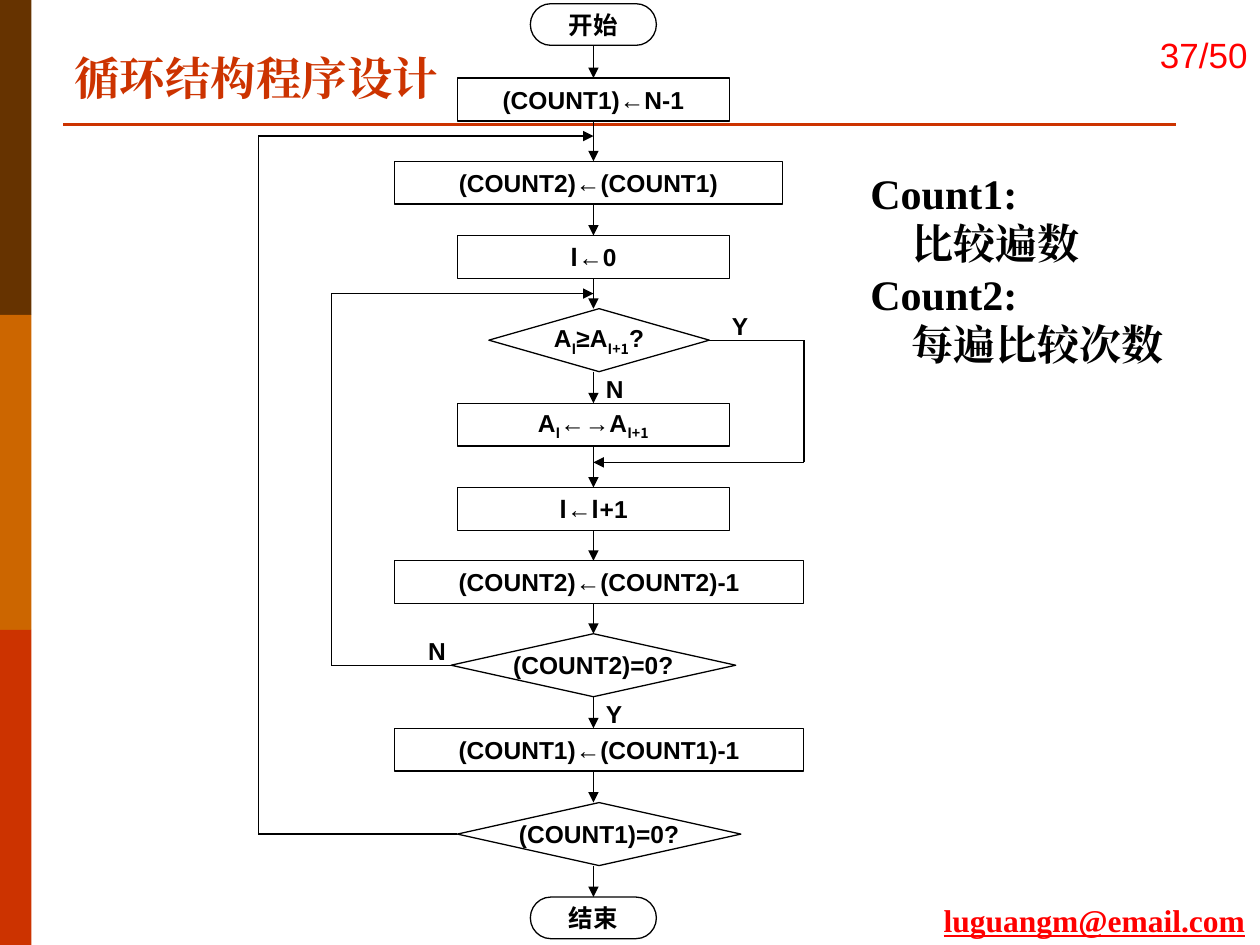
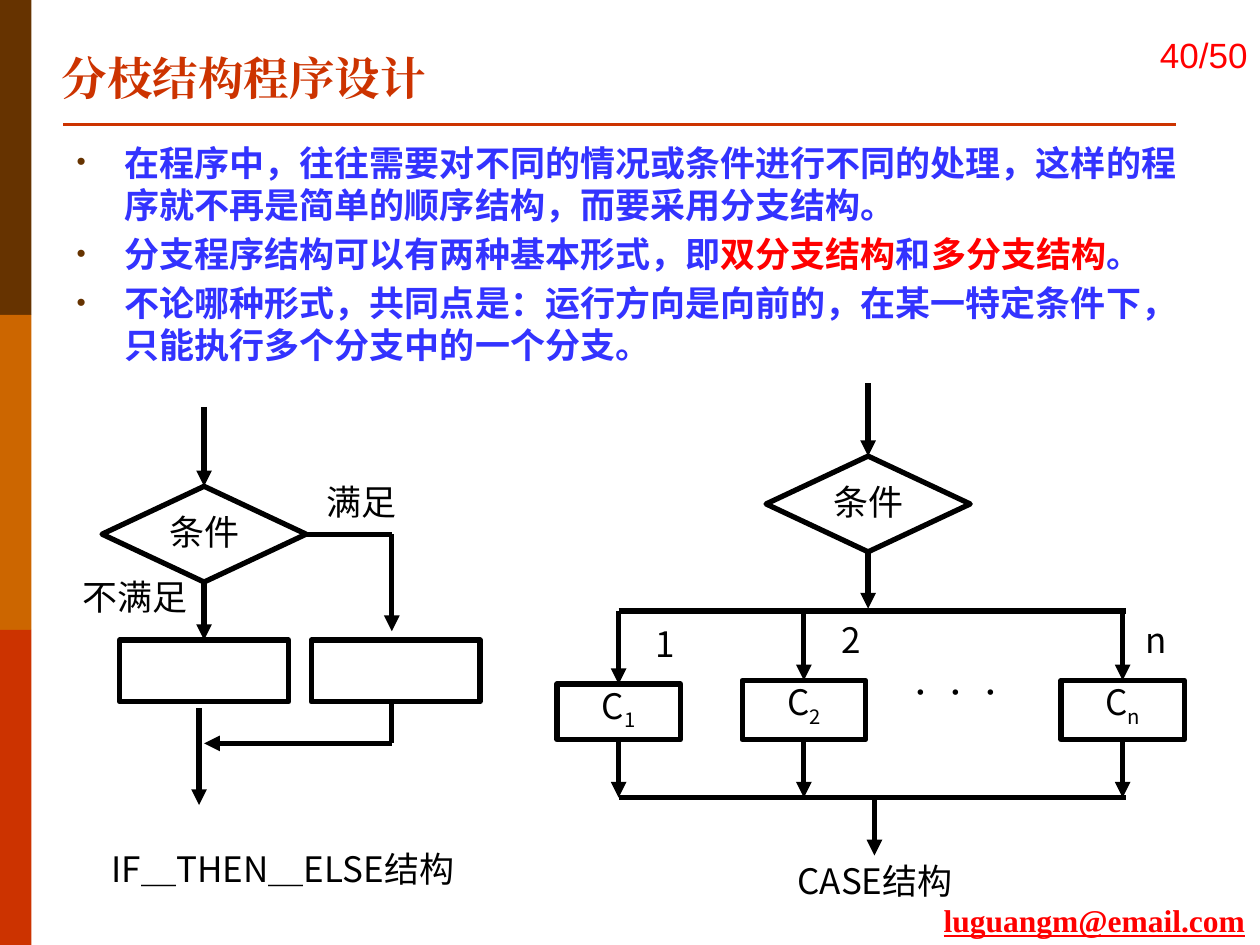
from itertools import pairwise

from lxml.etree import SubElement
from pptx import Presentation
from pptx.dml.color import RGBColor
from pptx.enum.shapes import MSO_CONNECTOR, MSO_SHAPE
from pptx.enum.text import MSO_ANCHOR, PP_ALIGN
from pptx.oxml.ns import qn
from pptx.util import Inches, Pt

BROWN, ORANGE, RUST = "663300", "CC6600", "CC3300"
RED, BLUE, BLACK = "FF0000", "3333FF", "000000"
SANS, SERIF, CJK = "Arial", "Times New Roman", "Noto Sans CJK SC"

TITLE = {"name": SERIF, "size": Pt(26), "bold": True, "color": RUST}
PAGE_NUMBER = {"name": SANS, "size": Pt(20), "color": RED}
EMAIL = {"name": SERIF, "size": Pt(18), "bold": True, "underline": True, "color": RED}
FLOW = {"name": SANS, "size": Pt(14), "bold": True, "color": BLACK}
NOTE = {"name": SERIF, "size": Pt(24), "bold": True, "color": BLACK}
BODY = {"name": CJK, "size": Pt(20), "bold": True, "color": BLUE}
BRANCH = {"name": CJK, "size": Pt(20), "color": BLACK}

INDEX = {"name": CJK}
SUB = {"name": CJK, "baseline": "-25000"}
HOT = {"color": RED}

DEFAULT_INSETS = (0.1, 0.05)
TIGHT_INSETS = (0.02, 0)
TOP, LEFT, BOTTOM, RIGHT = range(4)
SPINE = 4.71
THIN, THICK = 0.75, 3


def rgb(value):
    return RGBColor.from_string(value)


def add_run(paragraph, text, style):
    fmt = dict(style)
    color, baseline = fmt.pop("color"), fmt.pop("baseline", None)
    run = paragraph.add_run()
    run.text = text
    for attribute, value in fmt.items():
        setattr(run.font, attribute, value)
    run.font.color.rgb = rgb(color)
    properties = run._r.get_or_add_rPr()
    SubElement(properties, qn("a:ea")).set("typeface", fmt["name"])
    if baseline:
        properties.set("baseline", baseline)


def fill_paragraph(paragraph, runs, style, align=PP_ALIGN.LEFT):
    """Write a plain string or a list of strings and (text, overrides) pairs."""
    paragraph.alignment = align
    for run in [runs] if isinstance(runs, str) else runs:
        text, changes = (run, {}) if isinstance(run, str) else run
        add_run(paragraph, text, {**style, **changes})


def set_frame(frame, insets, anchor, wrap):
    side, top = map(Inches, insets)
    layout = {"margin_left": side, "margin_right": side, "margin_top": top,
              "margin_bottom": top, "vertical_anchor": anchor, "word_wrap": wrap}
    for attribute, value in layout.items():
        setattr(frame, attribute, value)


def add_label(slide, box, paragraphs, style, align=PP_ALIGN.LEFT,
              insets=DEFAULT_INSETS, anchor=MSO_ANCHOR.TOP, wrap=True):
    frame = slide.shapes.add_textbox(*map(Inches, box)).text_frame
    set_frame(frame, insets, anchor, wrap)
    for number, runs in enumerate(paragraphs):
        paragraph = frame.add_paragraph() if number else frame.paragraphs[0]
        fill_paragraph(paragraph, runs, style, align)
    return frame


def add_node(slide, kind, box, runs, style, weight, insets=DEFAULT_INSETS,
             anchor=MSO_ANCHOR.MIDDLE, wrap=False):
    """Add an outlined flowchart symbol with centred text."""
    node = slide.shapes.add_shape(kind, *map(Inches, box))
    node.shadow.inherit = False
    node.fill.background()
    node.line.color.rgb = rgb(BLACK)
    node.line.width = Pt(weight)
    set_frame(node.text_frame, insets, anchor, wrap)
    if runs:
        fill_paragraph(node.text_frame.paragraphs[0], runs, style, PP_ALIGN.CENTER)
    return node


def is_point(end):
    return isinstance(end[0], (int, float))


def add_link(slide, start, end, weight, arrow=True, color=BLACK):
    """Draw a line; each end is a point or a (node, side) pair to join."""
    ends = [tuple(map(Inches, e)) if is_point(e) else (0, 0) for e in (start, end)]
    link = slide.shapes.add_connector(MSO_CONNECTOR.STRAIGHT, *ends[0], *ends[1])
    if not is_point(start):
        link.begin_connect(*start)
    if not is_point(end):
        link.end_connect(*end)
    link.line.color.rgb = rgb(color)
    link.line.width = Pt(weight)
    properties = link._element.spPr
    if arrow:
        SubElement(properties.find(qn("a:ln")), qn("a:tailEnd")).set("type", "triangle")
    SubElement(properties, qn("a:effectLst"))


def add_route(slide, stops, weight):
    """Draw a bent line through the stops, with an arrowhead at the last."""
    legs = list(pairwise(stops))
    for number, (start, end) in enumerate(legs, 1):
        add_link(slide, start, end, weight, arrow=number == len(legs))


def add_base_slide(deck, title, title_left, page):
    slide = deck.slides.add_slide(deck.slide_layouts[6])
    for number, color in enumerate((BROWN, ORANGE, RUST)):
        band = slide.shapes.add_shape(MSO_SHAPE.RECTANGLE, 0, Inches(2.5 * number),
                                      Inches(0.25), Inches(2.5))
        band.shadow.inherit = False
        band.fill.solid()
        band.fill.fore_color.rgb = rgb(color)
        band.line.fill.background()
    add_link(slide, (0.5, 0.99), (9.33, 0.99), 1.5, arrow=False, color=RUST)
    add_label(slide, (7.39, 7.1, 2.61, 0.4), ["luguangm@email.com"], EMAIL, wrap=False)
    add_label(slide, (8.78, 0.01, 1.22, 0.84), [page], PAGE_NUMBER,
              PP_ALIGN.RIGHT, anchor=MSO_ANCHOR.MIDDLE)
    add_label(slide, (title_left, 0.35, 6.99, 0.54), [title], TITLE)
    return slide


def spine_port(node, side):
    """Join at the node's side if its middle is on the spine, else give the point."""
    if abs(node.left + node.width // 2 - Inches(SPINE)) < Inches(0.01):
        return node, side
    edge = node.top + (node.height if side == BOTTOM else 0)
    return SPINE, edge / Inches(1)


def build_loop_slide(deck):
    slide = add_base_slide(deck, "循环结构程序设计", 0.49, "37/50")
    terminal, process, decision = (MSO_SHAPE.FLOWCHART_TERMINATOR, MSO_SHAPE.RECTANGLE,
                                   MSO_SHAPE.FLOWCHART_DECISION)
    heights = {terminal: 0.33, process: 0.34, decision: 0.5}
    steps = [
        (terminal, 4.21, 0.03, 1, "开始"),
        (process, 3.63, 0.62, 2.16, "(COUNT1)←N-1"),
        (process, 3.13, 1.28, 3.08, "(COUNT2)←(COUNT1)"),
        (process, 3.63, 1.87, 2.16, [("I", INDEX), "←0"]),
        (decision, 3.88, 2.45, 1.75, ["A", ("I", SUB), "≥A", ("I+1", SUB), "?"]),
        (process, 3.63, 3.2, 2.16, ["A", ("I", SUB), "←→A", ("I+1", SUB)]),
        (process, 3.63, 3.87, 2.16, [("I", INDEX), "←", ("I", INDEX), "+1"]),
        (process, 3.13, 4.45, 3.25, "(COUNT2)←(COUNT2)-1"),
        (decision, 3.58, 5.03, 2.26, "(COUNT2)=0?"),
        (process, 3.13, 5.78, 3.25, "(COUNT1)←(COUNT1)-1"),
        (decision, 3.63, 6.37, 2.25, "(COUNT1)=0?"),
        (terminal, 4.21, 7.12, 1, "结束"),
    ]
    nodes = [add_node(slide, kind, (left, top, width, heights[kind]), runs, FLOW, THIN)
             for kind, left, top, width, runs in steps]
    for upper, lower in pairwise(nodes):
        add_link(slide, spine_port(upper, BOTTOM), spine_port(lower, TOP), THIN)

    compare, inner_test, outer_test = (nodes[i] for i in (4, 8, 10))
    branches = [
        ((compare, RIGHT), 6.38, 2.7, 3.67),
        ((inner_test, LEFT), 2.63, 5.28, 2.33),
        ((outer_test, LEFT), 2.05, 6.62, 1.08),
    ]
    for start, x, leave, rejoin in branches:
        add_route(slide, [start, (x, leave), (x, rejoin), (SPINE, rejoin)], THIN)

    for answer, left, top in (("Y", 5.71, 2.42), ("N", 4.71, 2.92),
                              ("N", 3.3, 5), ("Y", 4.71, 5.5)):
        add_label(slide, (left, top, 0.33, 0.33), [answer], FLOW)

    counters = add_label(slide, (6.81, 1.28, 2.83, 1.72),
                         ["Count1:", "比较遍数", "Count2:", "每遍比较次数"], NOTE)
    for meaning in counters.paragraphs[1::2]:
        meaning._p.get_or_add_pPr().set("marL", str(Inches(0.33)))


def add_bullet(paragraph):
    properties = paragraph._p.get_or_add_pPr()
    properties.set("marL", str(Inches(0.38)))
    properties.set("indent", str(-Inches(0.38)))
    color = SubElement(properties, qn("a:buClr"))
    SubElement(color, qn("a:srgbClr")).set("val", BROWN)
    SubElement(properties, qn("a:buSzPct")).set("val", "75000")
    SubElement(properties, qn("a:buFont")).set("typeface", SANS)
    SubElement(properties, qn("a:buChar")).set("char", "•")


def add_branch_node(slide, kind, box, runs=None, insets=TIGHT_INSETS):
    return add_node(slide, kind, box, runs, BRANCH, THICK, insets, MSO_ANCHOR.TOP, True)


def draw_if_structure(slide):
    axis, side = 1.62, 3.11
    condition = add_branch_node(slide, MSO_SHAPE.FLOWCHART_DECISION,
                                (0.81, 3.86, 1.62, 0.76), "条件")
    else_step, _ = [add_branch_node(slide, MSO_SHAPE.FLOWCHART_PROCESS,
                                    (left, 5.08, 1.34, 0.49)) for left in (0.95, 2.47)]
    add_link(slide, (axis, 3.23), (condition, TOP), THICK)
    add_link(slide, (condition, BOTTOM), (else_step, TOP), THICK)
    add_route(slide, [(condition, RIGHT), (side, 4.24), (side, 5.01)], THICK)
    add_route(slide, [(side, 5.59), (side, 5.9), (axis, 5.9)], THICK)
    add_link(slide, (1.58, 5.62), (1.58, 6.39), THICK)


def draw_case_structure(slide):
    axis, fork, merge = 6.89, 4.85, 6.33
    condition = add_branch_node(slide, MSO_SHAPE.FLOWCHART_DECISION,
                                (6.08, 3.62, 1.62, 0.76), "条件")
    add_link(slide, (axis, 3.04), (condition, TOP), THICK)
    add_link(slide, (condition, BOTTOM), (axis, 4.83), THICK)
    for rail in (fork, merge):
        add_link(slide, (4.91, rail), (8.94, rail), THICK, arrow=False)
    for case, x, top in (("1", 4.91, 5.43), ("2", 6.38, 5.4), ("n", 8.91, 5.4)):
        box = (x - 0.49, top, 0.98, 5.87 - top)
        step = add_branch_node(slide, MSO_SHAPE.FLOWCHART_PROCESS, box,
                               ["C", (case, SUB)], (0, 0))
        add_link(slide, (x, fork), (step, TOP), THICK)
        add_link(slide, (step, BOTTOM), (x, merge), THICK)
    add_link(slide, (6.94, 6.35), (6.94, 6.79), THICK)


def build_branch_slide(deck):
    slide = add_base_slide(deck, "分枝结构程序设计", 0.39, "40/50")
    points = [
        "在程序中，往往需要对不同的情况或条件进行不同的处理，这样的程序就不再是简单的顺序结构，而要采用分支结构。",
        ["分支程序结构可以有两种基本形式，即", ("双分支结构", HOT), "和",
         ("多分支结构", HOT), "。"],
        "不论哪种形式，共同点是：运行方向是向前的，在某一特定条件下，只能执行多个分支中的一个分支。",
    ]
    body = add_label(slide, (0.51, 1.07, 9, 1.95), points, BODY)
    for number, paragraph in enumerate(body.paragraphs):
        add_bullet(paragraph)
        if number:
            paragraph.space_before = Pt(4)

    draw_if_structure(slide)
    draw_case_structure(slide)
    labels = [
        ("不满足", 0.58, 4.57, 0.98, 0.39),
        ("满足", 2.38, 3.81, 0.98, 0.39),
        ("IF＿THEN＿ELSE结构", 0.67, 6.73, 3.15, 0.47),
        ("CASE结构", 5.37, 6.82, 3.15, 0.47),
        ("．．．", 7.17, 5.24, 0.98, 0.38),
        ("1", 5.06, 4.94, 0.44, 0.44),
        ("2", 6.57, 4.91, 0.37, 0.3),
        ("n", 8.99, 4.91, 0.37, 0.3),
    ]
    for text, *box in labels:
        add_label(slide, box, [text], BRANCH, PP_ALIGN.CENTER, TIGHT_INSETS)


def main():
    deck = Presentation()
    deck.slide_width, deck.slide_height = Inches(10), Inches(7.5)
    build_loop_slide(deck)
    build_branch_slide(deck)
    deck.save("out.pptx")


if __name__ == "__main__":
    main()
